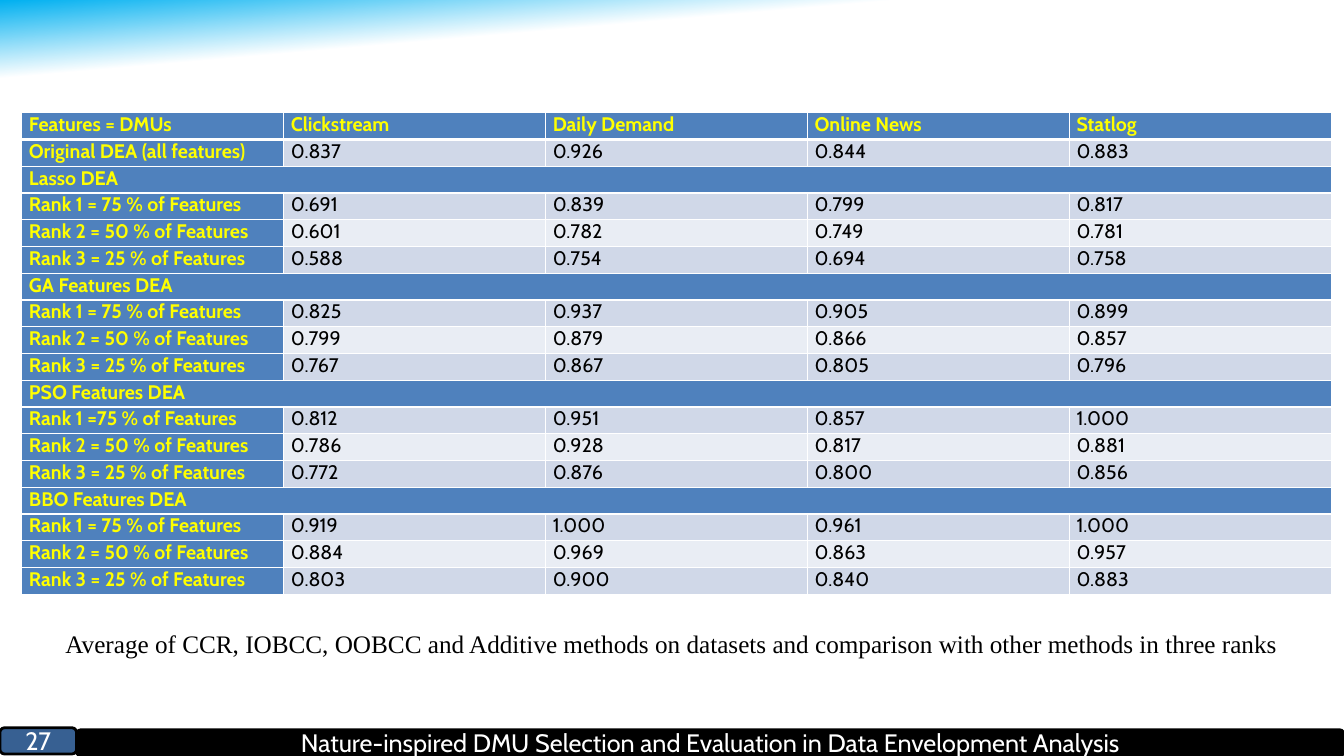
from lxml import etree
from pptx import Presentation
from pptx.dml.color import RGBColor
from pptx.enum.shapes import MSO_SHAPE
from pptx.enum.text import MSO_ANCHOR, PP_ALIGN
from pptx.oxml.ns import qn
from pptx.util import Cm, Pt

ROUNDED = MSO_SHAPE.ROUNDED_RECTANGLE
MIDDLE = MSO_ANCHOR.MIDDLE
CENTER = PP_ALIGN.CENTER
JUSTIFY = PP_ALIGN.JUSTIFY

WHITE, BLACK, YELLOW = "FFFFFF", "000000", "FFFF00"
HEADING_BLUE = "4F81BD"
BANDS = ["E9EDF4", "D0D8E8"]

RANKS = ["Rank 1 = 75 % of Features", "Rank 2 = 50 % of Features", "Rank 3 = 25 % of Features"]
PSO_RANKS = ["Rank 1 =75 % of Features"] + RANKS[1:]
METHODS = [
    ("Lasso DEA", RANKS, [
        ["0.691", "0.839", "0.799", "0.817"],
        ["0.601", "0.782", "0.749", "0.781"],
        ["0.588", "0.754", "0.694", "0.758"]]),
    ("GA Features DEA", RANKS, [
        ["0.825", "0.937", "0.905", "0.899"],
        ["0.799", "0.879", "0.866", "0.857"],
        ["0.767", "0.867", "0.805", "0.796"]]),
    ("PSO Features DEA", PSO_RANKS, [
        ["0.812", "0.951", "0.857", "1.000"],
        ["0.786", "0.928", "0.817", "0.881"],
        ["0.772", "0.876", "0.800", "0.856"]]),
    ("BBO Features DEA", RANKS, [
        ["0.919", "1.000", "0.961", "1.000"],
        ["0.884", "0.969", "0.863", "0.957"],
        ["0.803", "0.900", "0.840", "0.883"]]),
]


def color(hex_string):
    return RGBColor.from_string(hex_string)


def write(paragraph, text, text_color, **font_values):
    run = paragraph.add_run()
    run.text = text
    run.font.color.rgb = color(text_color)
    for name, value in font_values.items():
        setattr(run.font, name, value)


presentation = Presentation()
presentation.slide_width = Cm(33.87)
presentation.slide_height = Cm(19.05)
slide = presentation.slides.add_slide(presentation.slide_layouts[6])

# Background: blue fading to white from the top left
background = slide.background.fill
background.gradient()
background.gradient_angle = 275
for stop, (position, stop_color) in zip(background.gradient_stops, [(0, "00B0F0"), (0.09, WHITE)]):
    stop.position = position
    stop.color.rgb = color(stop_color)

# Footer bar and page number
footer_boxes = [
    (1.93, 18.39, 31.94, BLACK,
     "Nature-inspired DMU Selection and Evaluation in Data Envelopment Analysis"),
    (0, 18.34, 1.93, "376092", "27"),
]
for left, top, width, fill_color, text in footer_boxes:
    shape = slide.shapes.add_shape(ROUNDED, Cm(left), Cm(top), Cm(width), Cm(0.66))
    shape.shadow.inherit = False
    shape.fill.solid()
    shape.fill.fore_color.rgb = color(fill_color)
    shape.line.color.rgb = color(BLACK)
    shape.line.width = Pt(2)
    shape.text_frame.vertical_anchor = MIDDLE
    paragraph = shape.text_frame.paragraphs[0]
    paragraph.alignment = CENTER
    write(paragraph, text, WHITE, size=Pt(18), name="Cabin")

# Results table
rows = [
    ["Features = DMUs", "Clickstream", "Daily Demand", "Online News", "Statlog"],
    ["Original DEA (all features)", "0.837", "0.926", "0.844", "0.883"],
]
for method, ranks, scores in METHODS:
    rows.append([method])
    rows += [[rank] + values for rank, values in zip(ranks, scores)]

column_count = len(rows[0])
table = slide.shapes.add_table(
    len(rows), column_count, Cm(0.55), Cm(2.84), Cm(33), Cm(12.14)).table
for column in table.columns:
    column.width = Cm(6.6)

cell_margins = {"margin_left": Cm(0.18), "margin_right": Cm(0.18),
                "margin_top": 0, "margin_bottom": 0}
for row_index, values in enumerate(rows):
    table.rows[row_index].height = Cm(12.14 / len(rows))
    is_section = len(values) == 1
    if is_section:
        table.cell(row_index, 0).merge(table.cell(row_index, column_count - 1))
    for column_index in range(column_count):
        cell = table.cell(row_index, column_index)
        is_heading = row_index == 0 or column_index == 0 or is_section
        for name, value in cell_margins.items():
            setattr(cell, name, value)

        properties = cell._tc.get_or_add_tcPr()
        for side in ["lnL", "lnR", "lnT", "lnB"]:
            width = Pt(3) if row_index == 0 and side == "lnB" else Pt(1)
            border = etree.SubElement(properties, qn("a:" + side), w=str(width))
            border_fill = etree.SubElement(border, qn("a:solidFill"))
            etree.SubElement(border_fill, qn("a:srgbClr"), val=WHITE)

        cell.fill.solid()
        cell.fill.fore_color.rgb = color(HEADING_BLUE if is_heading else BANDS[row_index % 2])
        if column_index < len(values):
            paragraph = cell.text_frame.paragraphs[0]
            paragraph.alignment = JUSTIFY
            write(paragraph, values[column_index], YELLOW if is_heading else BLACK,
                  size=Pt(14), name="Cabin", bold=is_heading)

# Caption
caption = slide.shapes.add_textbox(Cm(1.4), Cm(15.7), Cm(32.47), Cm(1.02))
caption.text_frame.word_wrap = True
write(caption.text_frame.paragraphs[0],
      "Average of CCR, IOBCC, OOBCC and Additive methods on datasets "
      "and comparison with other methods in three ranks",
      BLACK, size=Pt(18), name="Times New Roman")

presentation.save("out.pptx")
